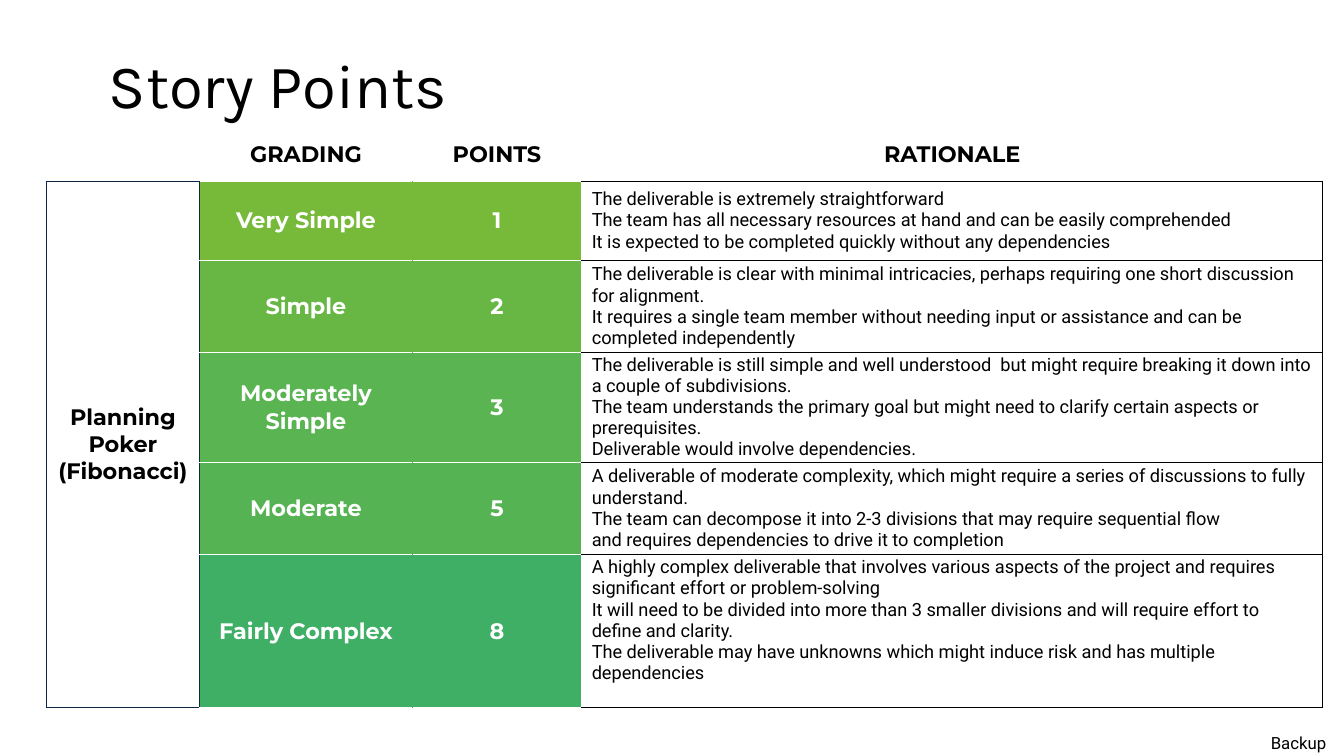
from dataclasses import dataclass

from lxml.etree import SubElement
from pptx import Presentation
from pptx.dml.color import RGBColor as RGB
from pptx.enum.text import MSO_ANCHOR as Anchor, PP_ALIGN as Align
from pptx.oxml.ns import qn
from pptx.util import Inches, Pt


@dataclass(frozen=True)
class Theme:
    black: str = "000000"
    white: str = "FFFFFF"
    navy: str = "0E2841"
    title_font: str = "Karla"
    label_font: str = "Montserrat"
    body_font: str = "Roboto"
    title_size: int = 44
    label_size: int = 16
    body_size: int = 13
    note_size: int = 12
    line: float = 0.5
    inset: float = 0.13


T = Theme()
WIDTH, HEIGHT = 13.33, 7.5
COLUMNS = [1.52, 2.11, 1.68, 7.35]
ROWS = [0.54, 0.78, 0.92, 1.05, 0.92, 1.47]
HEADINGS = ["GRADING", "POINTS", "RATIONALE"]
GRADES = [
    ("Very Simple", "1", "77BA39", [
        "The deliverable is extremely straightforward",
        "The team has all necessary resources at hand and can be easily comprehended",
        "It is expected to be completed quickly without any dependencies"]),
    ("Simple", "2", "68B745", [
        "The deliverable is clear with minimal intricacies, perhaps requiring one short discussion for alignment.",
        "It requires a single team member without needing input or assistance and can be completed independently"]),
    ("Moderately Simple", "3", "5AB451", [
        "The deliverable is still simple and well understood  but might require breaking it down into a couple of subdivisions.",
        "The team understands the primary goal but might need to clarify certain aspects or prerequisites.",
        "Deliverable would involve dependencies."]),
    ("Moderate", "5", "56B354", [
        "A deliverable of moderate complexity, which might require a series of discussions to fully understand.",
        "The team can decompose it into 2-3 divisions that may require sequential flow",
        "and requires dependencies to drive it to completion"]),
    ("Fairly Complex", "8", "3FAF66", [
        "A highly complex deliverable that involves various aspects of the project and requires significant effort or problem-solving",
        "It will need to be divided into more than 3 smaller divisions and will require effort to define and clarity.",
        "The deliverable may have unknowns which might induce risk and has multiple dependencies"]),
]


def write(tf, lines, font=T.label_font, size=T.label_size, color=T.black,
          bold=False, align=Align.LEFT, spacing=None):
    tf.word_wrap = True
    for i, line in enumerate(lines):
        p = tf.paragraphs[0] if i == 0 else tf.add_paragraph()
        p.alignment = align
        if spacing:
            p.line_spacing = spacing
        r = p.add_run()
        r.text = line
        r.font.name, r.font.size, r.font.bold = font, Pt(size), bold
        r.font.color.rgb = RGB.from_string(color)


def text_box(slide, box, text, **style):
    tf = slide.shapes.add_textbox(*map(Inches, box)).text_frame
    tf.margin_left = tf.margin_right = Inches(T.inset)
    tf.margin_top = tf.margin_bottom = Inches(T.inset)
    write(tf, [text], **style)


def format_cell(cell, borders, fill=None, bottom=0):
    cell.vertical_anchor = Anchor.MIDDLE
    cell.margin_left = cell.margin_right = Inches(0.1)
    cell.margin_top, cell.margin_bottom = 0, Inches(bottom)
    tc_pr = cell._tc.get_or_add_tcPr()
    for side, color in zip(("lnL", "lnR", "lnT", "lnB"), borders):
        ln = SubElement(tc_pr, qn(f"a:{side}"), w=str(Pt(T.line)))
        SubElement(SubElement(ln, qn("a:solidFill")), qn("a:srgbClr"), val=color)
    if fill:
        cell.fill.solid()
        cell.fill.fore_color.rgb = RGB.from_string(fill)
    else:
        cell.fill.background()


def header_row(table):
    for c, heading in enumerate([""] + HEADINGS):
        cell = table.cell(0, c)
        below = (T.navy, T.white, T.white, T.black)[c]
        format_cell(cell, (T.white, T.white, T.white, below))
        if heading:
            write(cell.text_frame, [heading], bold=True, align=Align.CENTER)


def grade_row(table, row, grade, points, color, rationale):
    label = dict(color=T.white, bold=True, align=Align.CENTER)
    method, name, score, reason = (table.cell(row, c) for c in range(4))
    format_cell(method, [T.navy] * 4)
    format_cell(name, (T.navy, color, T.white, T.white), color)
    write(name.text_frame, [grade], **label)
    format_cell(score, (color, T.white, T.white, T.white), color)
    write(score.text_frame, [points], **label)
    last = row == len(GRADES)
    format_cell(reason, (T.white, T.black, T.black, T.black), bottom=0.21 if last else 0)
    write(reason.text_frame, rationale, font=T.body_font, size=T.body_size)


def grading_table(slide, left, top):
    frame = slide.shapes.add_table(len(ROWS), len(COLUMNS), Inches(left), Inches(top),
                                   Inches(sum(COLUMNS)), Inches(sum(ROWS)))
    table = frame.table
    table.first_row = table.horz_banding = False
    for column, width in zip(table.columns, COLUMNS):
        column.width = Inches(width)
    for row, height in zip(table.rows, ROWS):
        row.height = Inches(height)
    header_row(table)
    for row, grade in enumerate(GRADES, 1):
        grade_row(table, row, *grade)
    method = table.cell(1, 0)
    method.merge(table.cell(len(GRADES), 0))
    write(method.text_frame, ["Planning Poker (Fibonacci)"], bold=True, align=Align.CENTER)


def story_points_slide(prs):
    slide = prs.slides.add_slide(prs.slide_layouts[6])
    text_box(slide, (0.95, 0.42, 11.23, 0.84), "Story Points",
             font=T.title_font, size=T.title_size, spacing=0.9)
    grading_table(slide, 0.46, 1.26)
    note_width, note_height = 0.9, 0.33
    text_box(slide, (WIDTH - note_width, HEIGHT - note_height, note_width, note_height),
             "Backup", font=T.body_font, size=T.note_size, align=Align.CENTER)


def main():
    prs = Presentation()
    prs.slide_width, prs.slide_height = Inches(WIDTH), Inches(HEIGHT)
    story_points_slide(prs)
    prs.save("out.pptx")


if __name__ == "__main__":
    main()
